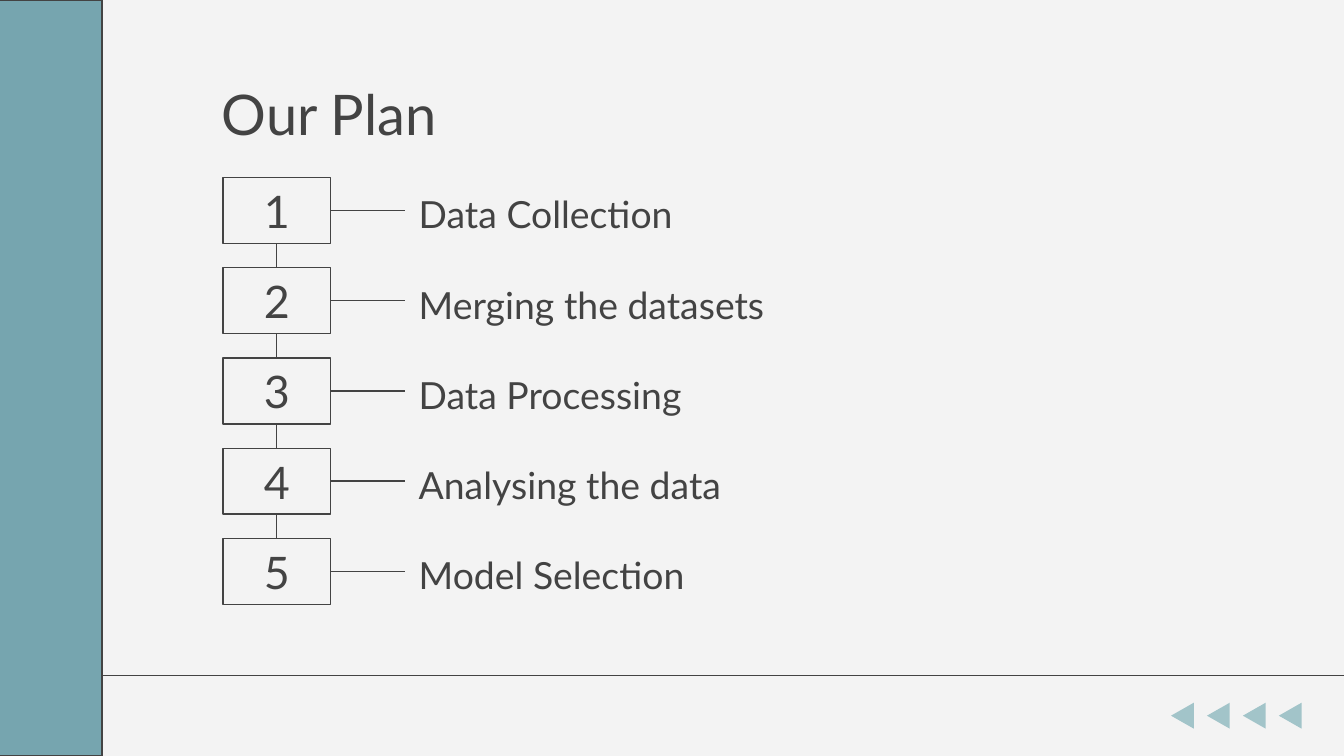
"""Build the "Our Plan" slide with five numbered, linked steps."""
from itertools import pairwise

from lxml.etree import SubElement
from pptx import Presentation
from pptx.dml.color import RGBColor
from pptx.enum.shapes import MSO_CONNECTOR, MSO_SHAPE
from pptx.enum.text import MSO_ANCHOR, MSO_AUTO_SIZE, PP_ALIGN
from pptx.oxml.ns import qn
from pptx.util import Pt

INK = "434343"
STEPS = [
    ("Data Collection", 187),
    ("Merging the datasets", 260.6),
    ("Data Processing", 377.3),
    ("Analysing the data", 502.5),
    ("Model Selection", 267.8),
]
STEP_LEFT, STEP_TOP, STEP_WIDTH, STEP_HEIGHT = 119.5, 95.1, 57.6, 35.3
STEP_PITCH = 48.35
LABEL_LEFT = 217.2


def paint(color_format, color):
    color_format.rgb = RGBColor.from_string(color)


def write(shape, text, size, align=PP_ALIGN.LEFT, anchor=MSO_ANCHOR.MIDDLE, spacing=1.0):
    frame = shape.text_frame
    frame.word_wrap = True
    frame.auto_size = MSO_AUTO_SIZE.NONE
    frame.vertical_anchor = anchor
    frame.margin_left = frame.margin_right = Pt(7.2)
    frame.margin_top = frame.margin_bottom = Pt(7.2)
    paragraph = frame.paragraphs[0]
    paragraph.alignment = align
    paragraph.line_spacing = spacing
    run = paragraph.add_run()
    run.text = text
    run.font.size = Pt(size)
    run.font.name = "Lato"
    paint(run.font.color, INK)


deck = Presentation()
deck.slide_width, deck.slide_height = Pt(720), Pt(405)
slide = deck.slides.add_slide(deck.slide_layouts[5])
shapes = slide.shapes
slide.background.fill.solid()
paint(slide.background.fill.fore_color, "F3F3F3")

title = shapes.title
title.left, title.top, title.width, title.height = Pt(111.6), Pt(35.3), Pt(551.5), Pt(45.4)
write(title, "Our Plan", size=30, anchor=MSO_ANCHOR.TOP)

footer_rule = shapes.add_connector(MSO_CONNECTOR.STRAIGHT, Pt(720), Pt(362), Pt(28), Pt(362))
lines = [footer_rule]

sidebar = shapes.add_shape(MSO_SHAPE.RECTANGLE, Pt(-1.5), Pt(0), Pt(56.2), Pt(405))
sidebar.shadow.inherit = False
sidebar.fill.solid()
paint(sidebar.fill.fore_color, "76A5AF")
paint(sidebar.line.color, INK)
sidebar.line.width = Pt(0.75)

for index in range(4):
    arrow = shapes.add_shape(
        MSO_SHAPE.ISOSCELES_TRIANGLE, Pt(626.5 + 19.25 * index), Pt(377.3), Pt(13.9), Pt(12.2)
    )
    arrow.rotation = 270
    arrow.shadow.inherit = False
    arrow.fill.solid()
    paint(arrow.fill.fore_color, "A2C4C9")
    arrow.line.fill.background()

numbers = []
for index, (step, label_width) in enumerate(STEPS):
    top = STEP_TOP + STEP_PITCH * index
    number = shapes.add_shape(
        MSO_SHAPE.RECTANGLE, Pt(STEP_LEFT), Pt(top), Pt(STEP_WIDTH), Pt(STEP_HEIGHT)
    )
    number.shadow.inherit = False
    number.fill.background()
    paint(number.line.color, INK)
    number.line.width = Pt(0.75)
    write(number, str(index + 1), size=24, align=PP_ALIGN.CENTER)
    numbers.append(number)

    label = shapes.add_textbox(Pt(LABEL_LEFT), Pt(top), Pt(label_width), Pt(STEP_HEIGHT))
    write(label, step, size=20, spacing=1.15)

    branch = shapes.add_connector(MSO_CONNECTOR.STRAIGHT, 0, 0, 0, 0)
    branch.begin_connect(number, 3)
    branch.end_connect(label, 1)
    lines.append(branch)

for upper, lower in pairwise(numbers):
    link = shapes.add_connector(MSO_CONNECTOR.STRAIGHT, 0, 0, 0, 0)
    link.begin_connect(upper, 2)
    link.end_connect(lower, 0)
    lines.append(link)

for line in lines:
    paint(line.line.color, INK)
    line.line.width = Pt(0.75)
    SubElement(line._element.spPr, qn("a:effectLst"))

deck.save("out.pptx")
